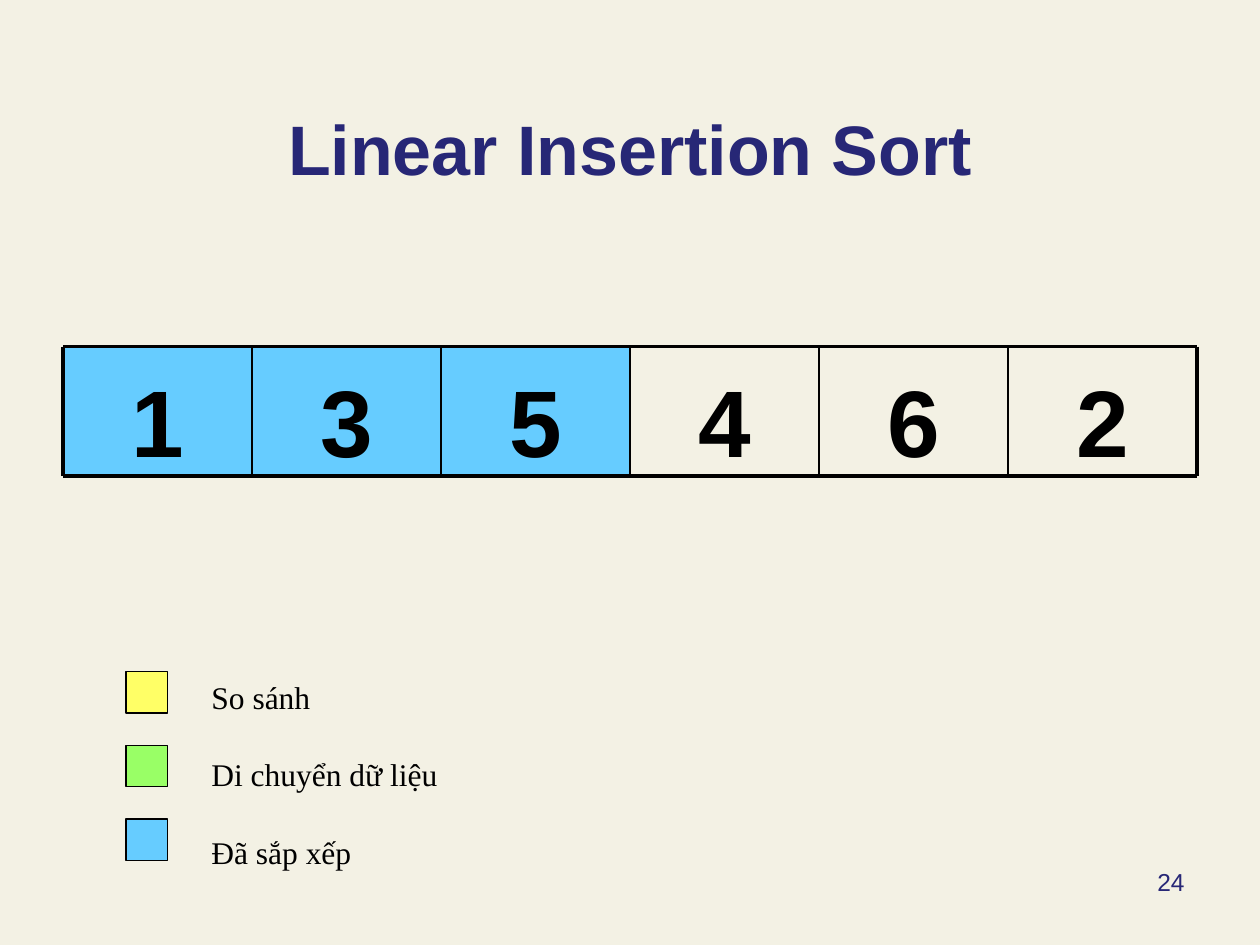
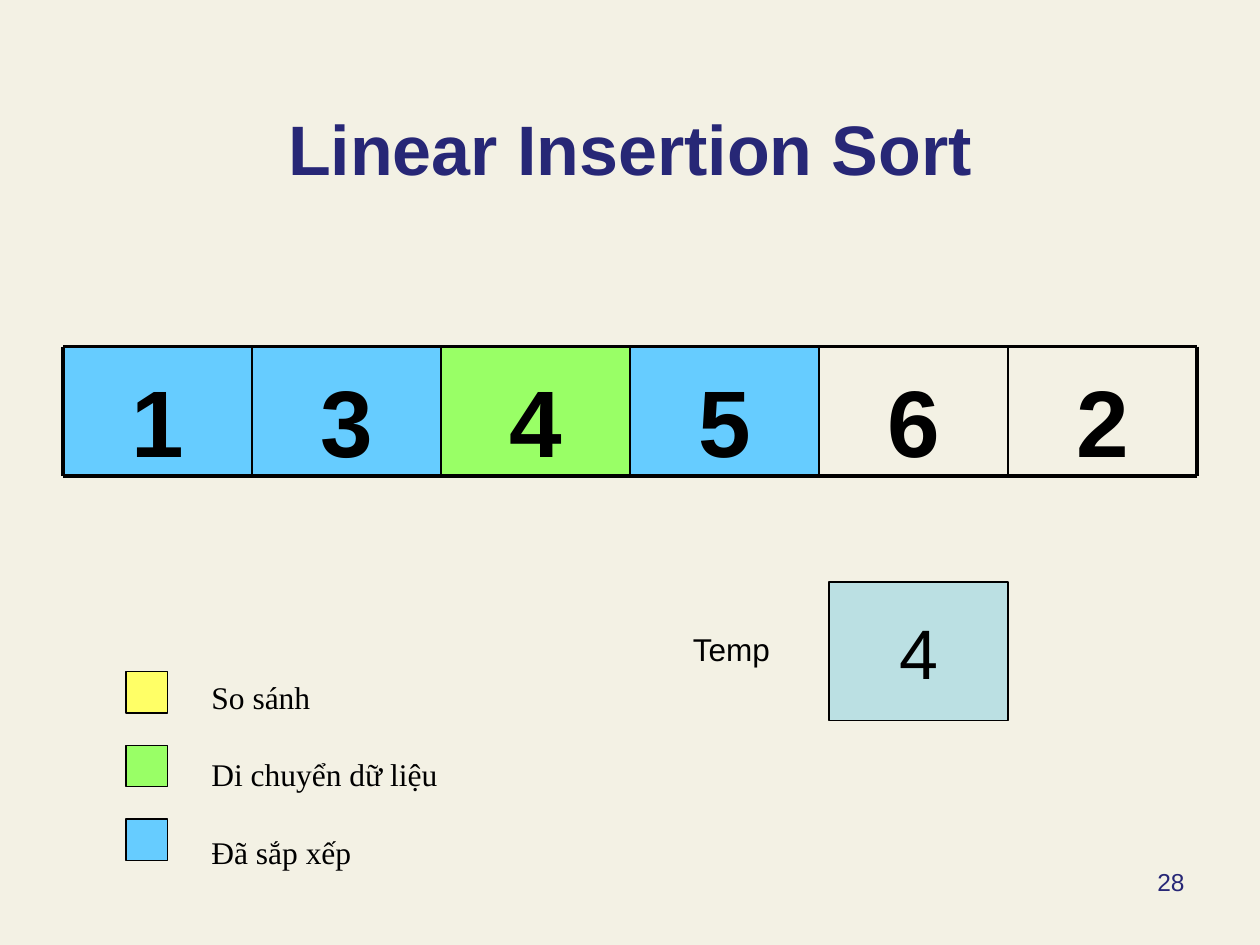
"""Two steps of a linear insertion sort, drawn as rows of cells."""
from dataclasses import dataclass

from lxml import etree
from pptx import Presentation
from pptx import util as u
from pptx.dml import color
from pptx.enum import shapes, text
from pptx.oxml import ns


@dataclass(frozen=True)
class Theme:
    """Colours, fonts, type sizes and line widths."""
    paper: str = "F3F1E4"
    navy: str = "272776"
    ink: str = "000000"
    yellow: str = "FFFF66"
    green: str = "99FF66"
    blue: str = "66CCFF"
    teal: str = "BBE0E3"
    sans: str = "Arial"
    serif: str = "Times New Roman"
    digit: float = 54
    title: float = 40
    body: float = 18
    small: float = 14
    thick: float = 2.25
    thin: float = 1
    hair: float = 0.75


T = Theme()
WIDE, HIGH = 10, 7.5
LEFT, COL = 0.5, 1.5
TOP, ROW = 2.75, 1.03
KEY_X, KEY_Y, KEY_GAP, KEY_SIDE = 1, 5.33, 0.585, 0.33
KEYS = (("So sánh", T.yellow), ("Di chuyển dữ liệu", T.green),
        ("Đã sắp xếp", T.blue))


def rgb(code):
    """Turn a hex code into a colour."""
    return color.RGBColor.from_string(code)


def inches(*sizes):
    """Turn plain numbers into lengths."""
    return [u.Inches(size) for size in sizes]


def write(shape, lines, size, font=T.sans, hue=T.ink, bold=False,
          align=text.PP_ALIGN.LEFT, anchor=text.MSO_ANCHOR.TOP,
          pads=(0.05, 0.05), gap=0):
    """Fill a shape with one paragraph per line."""
    frame = shape.text_frame
    frame.word_wrap = True
    frame.vertical_anchor = anchor
    frame.margin_top, frame.margin_bottom = inches(*pads)
    for i, line in enumerate(lines):
        para = frame.add_paragraph() if i else frame.paragraphs[0]
        para.alignment = align
        if i and gap:
            para.space_before = u.Pt(gap)
        run = para.add_run()
        run.text = line
        run.font.name, run.font.size = font, u.Pt(size)
        run.font.bold = bold
        run.font.color.rgb = rgb(hue)


def label(slide, box, lines, size, **style):
    """Add a text box."""
    write(slide.shapes.add_textbox(*inches(*box)), lines, size, **style)


def block(slide, box, fill, edge=0):
    """Add a filled rectangle, with an outline if edge is set."""
    rect = slide.shapes.add_shape(shapes.MSO_SHAPE.RECTANGLE, *inches(*box))
    rect.shadow.inherit = False
    rect.fill.solid()
    rect.fill.fore_color.rgb = rgb(fill)
    if edge:
        rect.line.color.rgb = rgb(T.ink)
        rect.line.width = u.Pt(edge)
    else:
        rect.line.fill.background()
    return rect


def rule(slide, ends, width):
    """Add a straight black line."""
    line = slide.shapes.add_connector(shapes.MSO_CONNECTOR.STRAIGHT,
                                      *inches(*ends))
    line.line.color.rgb = rgb(T.ink)
    line.line.width = u.Pt(width)
    etree.SubElement(line._element.spPr, ns.qn("a:effectLst"))


def array(slide, cells):
    """Draw the row of numbers and its grid lines."""
    count = len(cells)
    for i, (digit, fill) in enumerate(cells):
        box = (LEFT + i * COL, TOP, COL, ROW)
        style = dict(bold=True, align=text.PP_ALIGN.CENTER, pads=(0.13, 0))
        if fill:
            write(block(slide, box, fill), [digit], T.digit, **style)
        else:
            label(slide, box, [digit], T.digit, **style)
    for y in (TOP, TOP + ROW):
        rule(slide, (LEFT, y, LEFT + count * COL, y), T.thick)
    for i in range(count + 1):
        x = LEFT + i * COL
        rule(slide, (x, TOP, x, TOP + ROW),
             T.thick if i in (0, count) else T.thin)


def legend(slide):
    """Draw the colour key."""
    for i, (_, fill) in enumerate(KEYS):
        block(slide, (KEY_X, KEY_Y + i * KEY_GAP, KEY_SIDE, KEY_SIDE),
              fill, T.hair)
    label(slide, (1.58, KEY_Y, 2.4, 1.92), [name for name, _ in KEYS],
          T.body, font=T.serif, gap=22.7)


def temp(slide, digit):
    """Draw the spare cell that holds a value."""
    write(block(slide, (6.58, 4.62, 1.42, 1.1), T.teal, T.hair), [digit],
          T.title, align=text.PP_ALIGN.CENTER, anchor=text.MSO_ANCHOR.MIDDLE)
    label(slide, (5.4, 4.95, 1.02, 0.4), ["Temp"], T.body)


def step(deck, page, cells, held=None):
    """Add one slide that shows a step of the sort."""
    slide = deck.slides.add_slide(deck.slide_layouts[6])
    back = slide.background.fill
    back.solid()
    back.fore_color.rgb = rgb(T.paper)
    label(slide, (LEFT, 0.3, WIDE - 2 * LEFT, 1.25),
          ["Linear Insertion Sort"], T.title, hue=T.navy, bold=True,
          align=text.PP_ALIGN.CENTER, anchor=text.MSO_ANCHOR.BOTTOM)
    label(slide, (7.17, 6.83, 2.33, 0.52), [page], T.small, hue=T.navy,
          align=text.PP_ALIGN.RIGHT)
    array(slide, cells)
    legend(slide)
    if held:
        temp(slide, held)


def main():
    """Build the deck and save it."""
    deck = Presentation()
    deck.slide_width, deck.slide_height = inches(WIDE, HIGH)
    done, rest = T.blue, None
    step(deck, "24", list(zip("135462", [done] * 3 + [rest] * 3)))
    step(deck, "28", list(zip("134562", [done, done, T.green, done,
                                         rest, rest])), held="4")
    deck.save("out.pptx")


if __name__ == "__main__":
    main()
